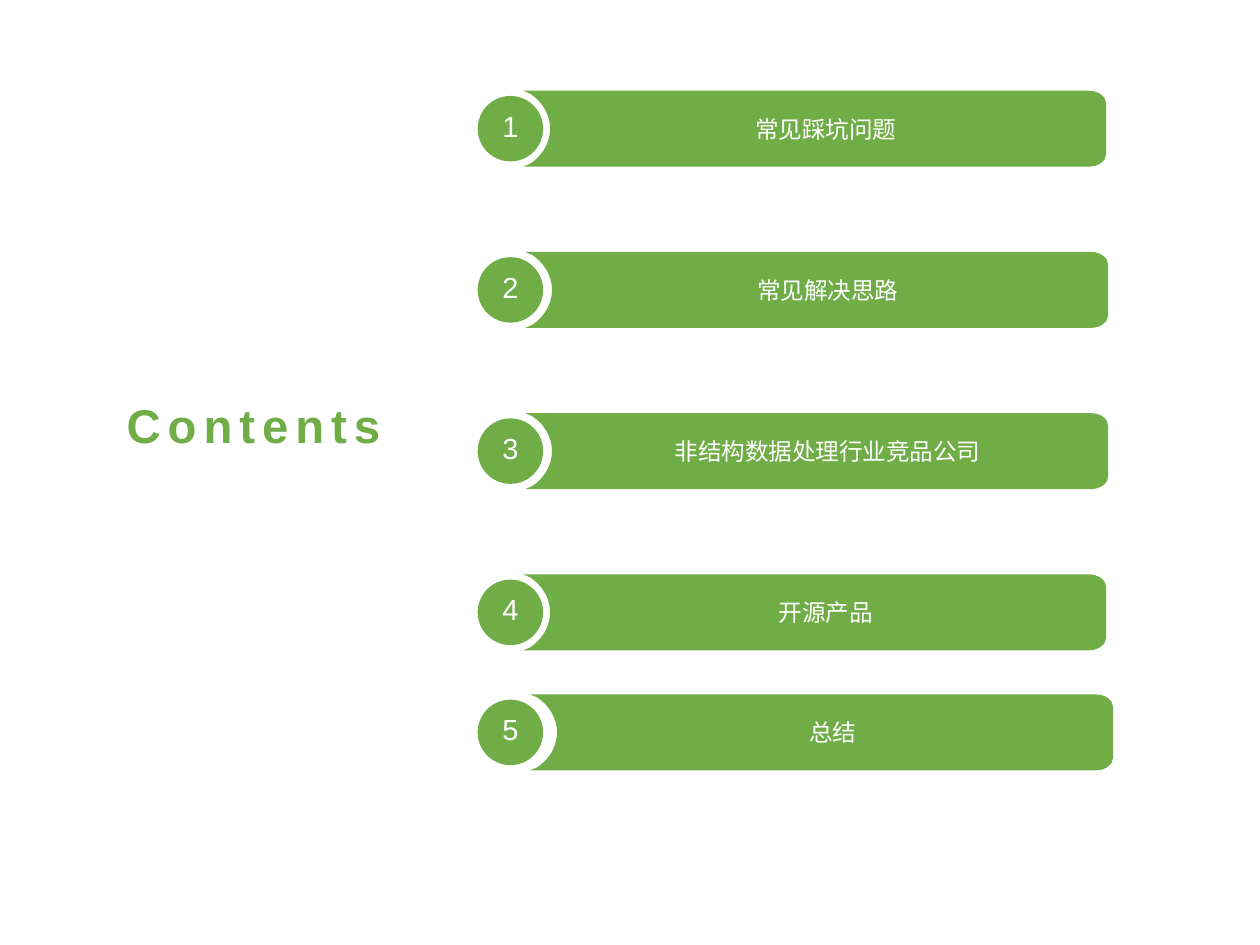
from dataclasses import dataclass

from lxml import etree
from pptx import Presentation
from pptx import util as u
from pptx.dml.color import RGBColor
from pptx.enum import shapes, text
from pptx.oxml import ns


@dataclass(frozen=True)
class Theme:
    font: str = "Arial"
    accent: RGBColor = RGBColor(0x70, 0xAD, 0x47)
    light: RGBColor = RGBColor(0xFF, 0xFF, 0xFF)
    title_size: float = 27
    title_spacing: int = 400
    item_size: float = 13.5
    number_size: float = 16.6


@dataclass(frozen=True)
class Box:
    left: float
    top: float
    width: float
    height: float


THEME = Theme()
TITLE_BOX = Box(2.3, 7.52, 5.97, 2.08)
ITEM_LEFT, ITEM_WIDTH, ITEM_HEIGHT = 9.63, 12.65, 1.53
FIRST_TOP, ITEM_PITCH, LAST_TOP = 1.83, 3.25, 14.0
CURVE_STARTS = (1, 5, 10, 13)
ITEMS = [
    ("常见踩坑问题", 0.92),
    ("常见解决思路", 0.96),
    ("非结构数据处理行业竞品公司", 0.96),
    ("开源产品", 0.92),
    ("总结", 1.06),
]


def format_text(frame, content, size, color, alignment):
    frame.text = content
    frame.vertical_anchor = text.MSO_ANCHOR.MIDDLE
    frame.word_wrap = True
    paragraph = frame.paragraphs[0]
    paragraph.alignment = alignment
    font = paragraph.runs[0].font
    font.name = THEME.font
    font.size = u.Pt(size)
    font.color.rgb = color
    return paragraph


def format_shape(shape):
    shape.shadow.inherit = False
    shape.fill.solid()
    shape.fill.fore_color.rgb = THEME.accent
    shape.line.fill.background()


def bar_outline(box):
    width, height = box.width, box.height
    upper = [(0, 0), (width - 0.35, 0), (width - 0.15, 0), (width, 0.12), (width, 0.26)]
    notch = [(0.14, 0.06), (0.37, 0.21), (0.54, 0.47)]
    lower, notch_lower = (
        [(x, height - y) for x, y in points] for points in (upper, notch))
    outline = upper + lower[::-1] + notch_lower + [(0.54, height / 2)] + notch[::-1]
    return [(u.Cm(box.left + x), u.Cm(box.top + y)) for x, y in outline]


def curve_segments(shape, starts):
    segments = list(shape._element.iter(ns.qn("a:lnTo")))
    for start in starts:
        group = segments[start:start + 3]
        bezier = etree.Element(ns.qn("a:cubicBezTo"))
        group[0].addprevious(bezier)
        for segment in group:
            bezier.append(segment[0])
            segment.getparent().remove(segment)


def add_bar(slide, box, label):
    start, *points = bar_outline(box)
    builder = slide.shapes.build_freeform(*start)
    builder.add_line_segments(points, close=True)
    shape = builder.convert_to_shape()
    curve_segments(shape, CURVE_STARTS)
    format_shape(shape)
    frame = shape.text_frame
    frame.margin_left = u.Cm(0.53)
    frame.margin_right = frame.margin_top = frame.margin_bottom = u.Cm(0.08)
    format_text(frame, label, THEME.item_size, THEME.light, text.PP_ALIGN.CENTER)


def add_number(slide, box, number):
    shape = slide.shapes.add_shape(
        shapes.MSO_SHAPE.OVAL,
        *(u.Cm(value) for value in (box.left, box.top, box.width, box.height)))
    format_shape(shape)
    paragraph = format_text(shape.text_frame, str(number), THEME.number_size,
                            THEME.light, text.PP_ALIGN.CENTER)
    paragraph.line_spacing = 0.8


def add_item(slide, box, number, label, bar_offset):
    bar_width, diameter = 11.75, 1.32
    add_bar(slide, Box(box.left + bar_offset, box.top, bar_width, box.height), label)
    circle_top = box.top + (box.height - diameter) / 2
    add_number(slide, Box(box.left, circle_top, diameter, diameter), number)


def add_title(slide, box):
    title = slide.shapes.title
    title.left, title.top = u.Cm(box.left), u.Cm(box.top)
    title.width, title.height = u.Cm(box.width), u.Cm(box.height)
    frame = title.text_frame
    frame.auto_size = text.MSO_AUTO_SIZE.NONE
    paragraph = format_text(frame, "Contents", THEME.title_size, THEME.accent,
                            text.PP_ALIGN.LEFT)
    font = paragraph.runs[0].font
    font.bold = True
    font._element.set("spc", str(THEME.title_spacing))


def add_contents(slide):
    add_title(slide, TITLE_BOX)
    for index, (label, bar_offset) in enumerate(ITEMS):
        is_last = index == len(ITEMS) - 1
        top = LAST_TOP if is_last else FIRST_TOP + index * ITEM_PITCH
        box = Box(ITEM_LEFT, top, ITEM_WIDTH, ITEM_HEIGHT)
        add_item(slide, box, index + 1, label, bar_offset)


def main():
    presentation = Presentation()
    presentation.slide_width = u.Cm(25.4)
    presentation.slide_height = u.Cm(19.05)
    slide = presentation.slides.add_slide(presentation.slide_layouts[5])
    add_contents(slide)
    presentation.save("out.pptx")


if __name__ == "__main__":
    main()
